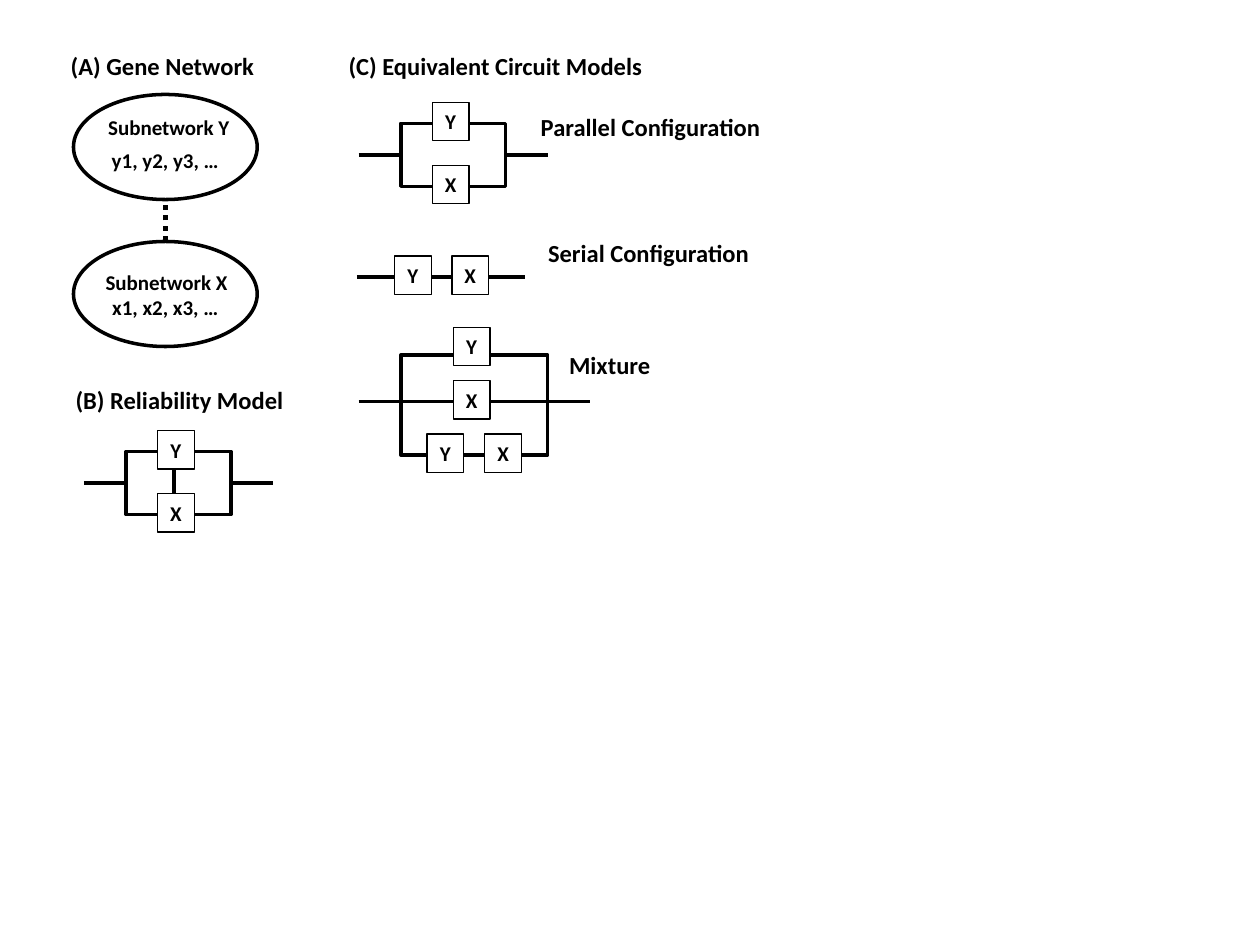
from pptx import Presentation
from pptx.dml.color import RGBColor
from pptx.enum import dml, shapes, text
from pptx.oxml.ns import qn
from pptx.util import Pt
from lxml import etree

BLACK = RGBColor(0, 0, 0)
WHITE = RGBColor(255, 255, 255)
FONT = "Calibri"
NODE_W, NODE_H = 21, 22
RISE = 12  # from the top of a node to its wire
LEAD = 24  # length of a wire leading in or out

deck = Presentation()
deck.slide_width, deck.slide_height = Pt(720), Pt(540)
slide = deck.slides.add_slide(deck.slide_layouts[6])


def write(shape, words, size, align, top=0, anchor=text.MSO_ANCHOR.MIDDLE):
    """Put one bold run into a shape, without side margins."""
    frame = shape.text_frame
    frame.word_wrap = False
    frame.vertical_anchor = anchor
    frame.margin_left = frame.margin_right = frame.margin_bottom = 0
    frame.margin_top = Pt(top)
    para = frame.paragraphs[0]
    para.alignment = align
    run = para.add_run()
    run.text = words
    run.font.name, run.font.size, run.font.bold = FONT, Pt(size), True
    run.font.color.rgb = BLACK


def label(x, y, w, h, words, size=14, align=text.PP_ALIGN.LEFT):
    """Add a line of free text."""
    box = slide.shapes.add_textbox(Pt(x), Pt(y), Pt(w), Pt(h))
    write(box, words, size, align, anchor=text.MSO_ANCHOR.TOP)


def outline(kind, x, y, w, h, width=2, fill=None):
    """Add a black outlined shape, filled or hollow."""
    shape = slide.shapes.add_shape(kind, Pt(x), Pt(y), Pt(w), Pt(h))
    shape.shadow.inherit = False
    if fill is None:
        shape.fill.background()
    else:
        shape.fill.solid()
        shape.fill.fore_color.rgb = fill
    shape.line.color.rgb = BLACK
    shape.line.width = Pt(width)
    return shape


def wire(x1, y1, x2, y2, width=2):
    """Add a straight black line."""
    line = slide.shapes.add_connector(
        shapes.MSO_CONNECTOR.STRAIGHT, Pt(x1), Pt(y1), Pt(x2), Pt(y2))
    line.line.color.rgb = BLACK
    line.line.width = Pt(width)
    etree.SubElement(line._element.spPr, qn("a:effectLst"))
    return line


def loop(x, y, w, h):
    """Add a hollow rectangle of wire."""
    outline(shapes.MSO_SHAPE.RECTANGLE, x, y, w, h)


def leads(x, y, w):
    """Add the wires into and out of a circuit of width w."""
    wire(x - LEAD, y, x, y)
    wire(x + w, y, x + w + LEAD, y)


def node(x, y, name, rise=RISE):
    """Add a lettered box on the wire at height y."""
    box = outline(shapes.MSO_SHAPE.RECTANGLE, x, y - rise,
                  NODE_W, NODE_H, 0.75, WHITE)
    write(box, name, 12, text.PP_ALIGN.CENTER)


def subnet(x, y, name, genes, dx, dy):
    """Add an ellipse with its genes, and its name at an offset."""
    oval = outline(shapes.MSO_SHAPE.OVAL, x, y, 105, 60, fill=WHITE)
    write(oval, genes, 12, text.PP_ALIGN.CENTER, top=14.6)
    label(x + dx, y + dy, 86, 14.6, name, 12, text.PP_ALIGN.CENTER)


def network(x, y):
    """Draw the two linked subnetworks."""
    subnet(x, y, "Subnetwork Y", "y1, y2, y3, …", 11.5, 11.5)
    subnet(x, y + 84, "Subnetwork X", "x1, x2, x3, …", 10.2, 16.2)
    link = wire(x + 52.5, y + 84, x + 52.5, y + 60, 3)
    link.line.dash_style = dml.MSO_LINE.ROUND_DOT


def parallel(x, y, bridge=False):
    """Draw Y and X side by side, with a bridge between them if asked."""
    w, h = 60, 36
    loop(x, y, w, h)
    leads(x, y + h / 2, w)
    if bridge:
        wire(x + 27.3, y + 24, x + 27.3, y + 10)
    for row, name in enumerate("YX"):
        node(x + 18, y + row * h, name)


def serial(x, y):
    """Draw Y and X in a row on one wire."""
    wire(x, y, x + 96, y)
    for col, name in enumerate("YX"):
        node(x + 21.4 + col * 32.8, y, name)


def mixture(x, y):
    """Draw Y, X and the row Y-X as three branches."""
    w, mid, low = 84, 26.5, 57
    loop(x, y, w, mid)
    loop(x, y + mid, w, low - mid)
    leads(x, y + mid, w)
    node(x + 30, y, "Y", rise=16)
    node(x + 30, y + mid, "X")
    for col, name in enumerate("YX"):
        node(x + 15 + col * 33, y + low, name)


network(42, 54)
parallel(72, 258, bridge=True)
parallel(229, 70.5)
serial(204, 158.3)
mixture(229, 203)

for x, y, w, words in [
    (40.4, 29, 106, "(A) Gene Network"),
    (43.2, 219.8, 120, "(B) Reliability Model"),
    (199.2, 29, 170, "(C) Equivalent Circuit Models"),
    (309, 63.8, 127, "Parallel Configuration"),
    (313.2, 136, 116, "Serial Configuration"),
    (325.2, 199.8, 47, "Mixture"),
]:
    label(x, y, w, 17, words)

deck.save("out.pptx")
